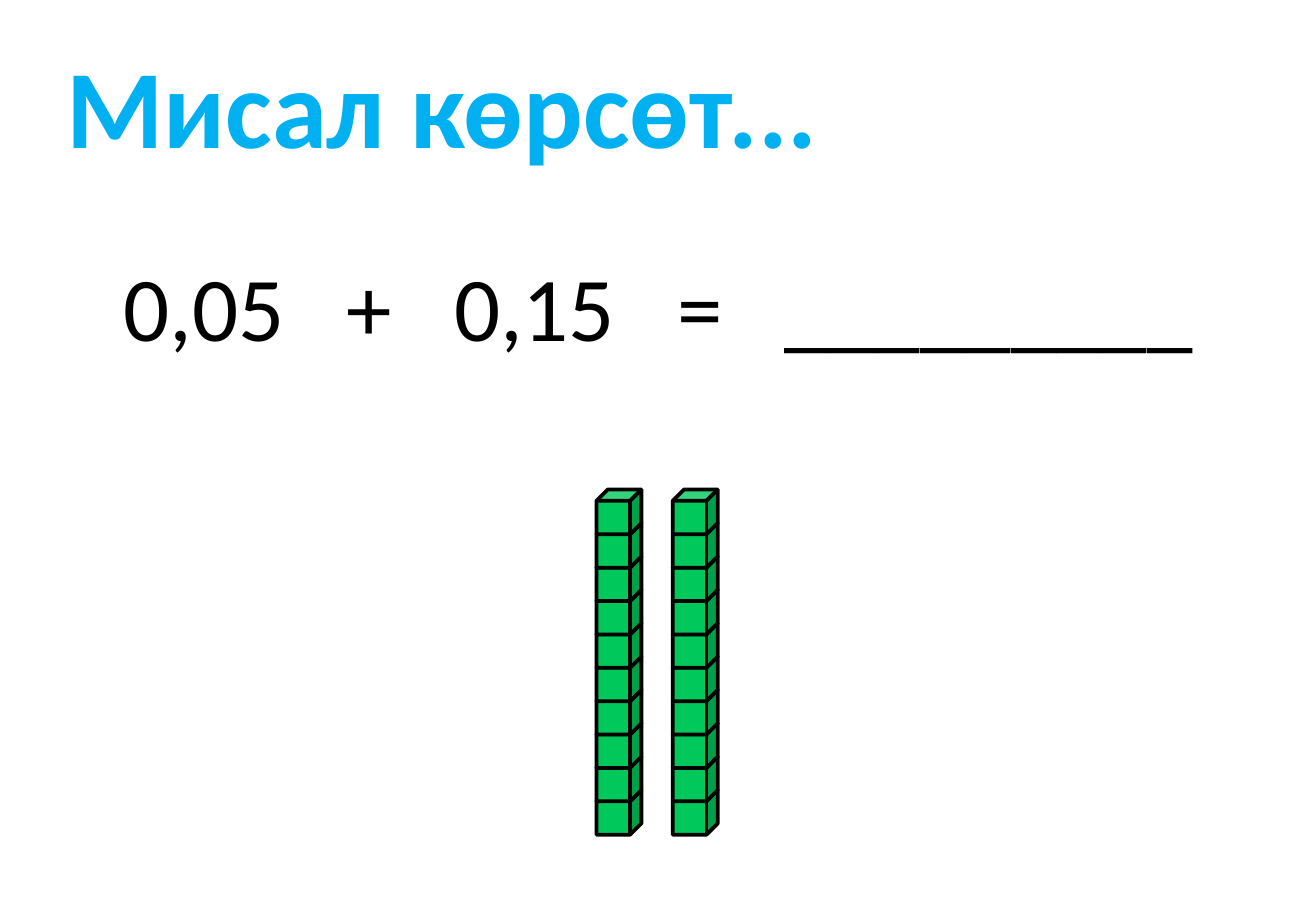
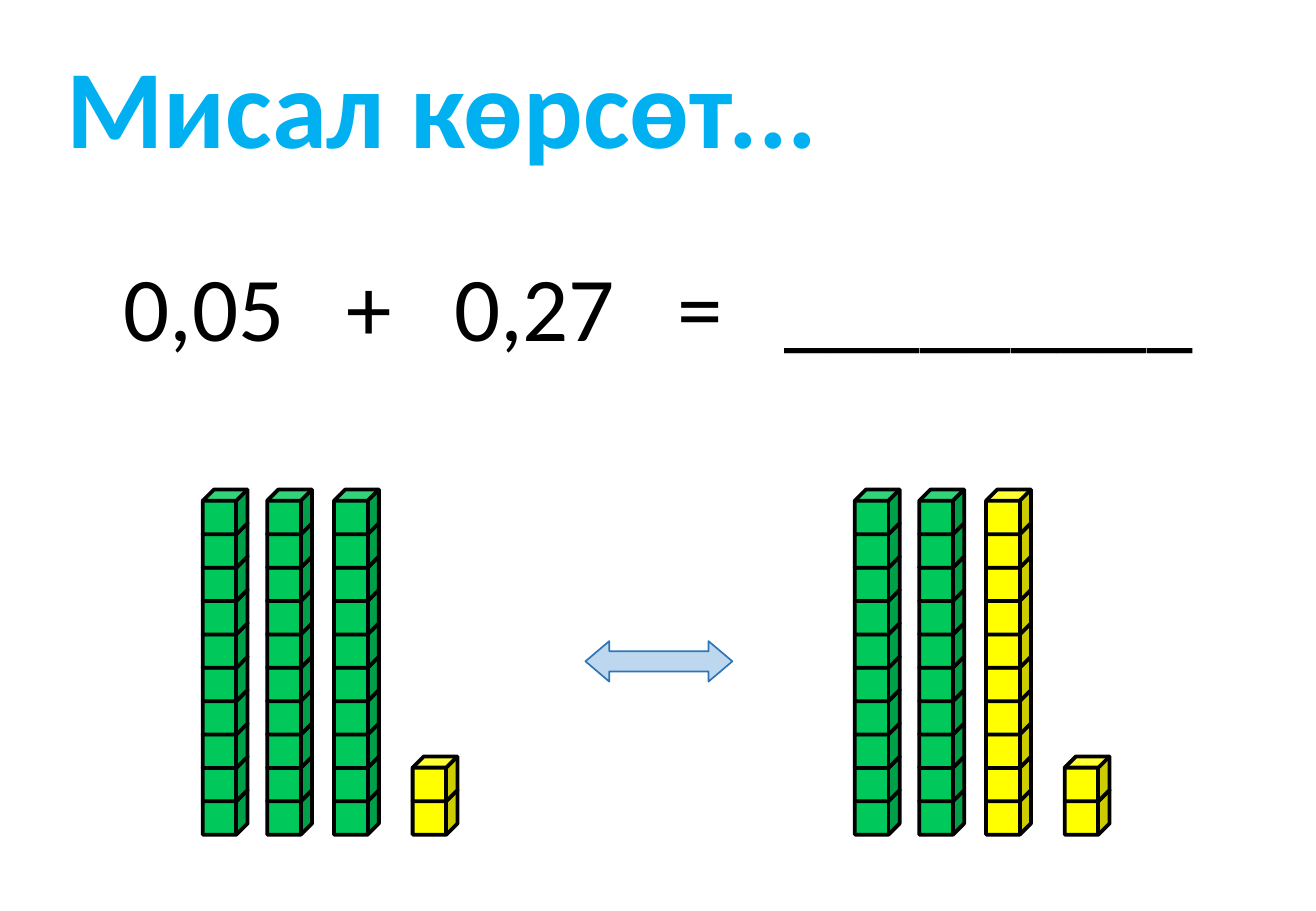
from pptx import Presentation
from pptx.dml.color import RGBColor
from pptx.enum.shapes import MSO_SHAPE
from pptx.oxml.ns import qn
from pptx.util import Pt
from lxml import etree

CUBE = MSO_SHAPE.CUBE
DOUBLE_ARROW = MSO_SHAPE.LEFT_RIGHT_ARROW

FONT = "Calibri"
TITLE_BLUE = "00B0F0"
BLACK = "000000"
GREEN = "00C85A"
YELLOW = "FFFF00"
ARROW_FILL = "BDD7EE"
ARROW_LINE = "2E75B6"

TITLE = "Мисал көрсөт..."
EQUATION_TABS = (132.2, 195.7, 327.9, 391.4)
CUBE_SIZE = 26.6
CUBE_PITCH = 19.78
BOTTOM_CUBE_TOP = 468.2
RIGHT_SET_OFFSET = 386.5

# Each rod: left edge, number of cubes, colour
LEFT_SET = [(120.2, 10, GREEN), (158.4, 10, GREEN), (198, 10, GREEN), (244.6, 2, YELLOW)]
RIGHT_COLOURS = (GREEN, GREEN, YELLOW, YELLOW)
RIGHT_SET = [(left + RIGHT_SET_OFFSET, count, colour)
             for (left, count, _), colour in zip(LEFT_SET, RIGHT_COLOURS)]
SLIDES = [
    (("0,05", "+", "0,15", "=", "_________"), [(353.6, 10, GREEN), (398.8, 10, GREEN)], False),
    (("0,05", "+", "0,27", "=", "_________"), LEFT_SET + RIGHT_SET, True),
]


def add_text(slide, box, text, size, colour, bold=False, tabs=()):
    shape = slide.shapes.add_textbox(*(Pt(length) for length in box))
    shape.text_frame.word_wrap = True
    paragraph = shape.text_frame.paragraphs[0]
    if tabs:
        properties = paragraph._p.get_or_add_pPr()
        tab_list = etree.SubElement(properties, qn("a:tabLst"))
        for position in tabs:
            etree.SubElement(tab_list, qn("a:tab"), pos=str(Pt(position)), algn="l")
    run = paragraph.add_run()
    run.text = text
    run.font.name = FONT
    run.font.size = Pt(size)
    run.font.bold = bold
    run.font.color.rgb = RGBColor.from_string(colour)


def add_preset(shapes, preset, box, fill, line, line_width):
    shape = shapes.add_shape(preset, *(Pt(length) for length in box))
    shape.shadow.inherit = False
    shape.fill.solid()
    shape.fill.fore_color.rgb = RGBColor.from_string(fill)
    shape.line.color.rgb = RGBColor.from_string(line)
    shape.line.width = Pt(line_width)
    return shape


presentation = Presentation()
presentation.slide_width = Pt(780)
presentation.slide_height = Pt(540)
blank_layout = presentation.slide_layouts[6]

for equation, rods, has_arrow in SLIDES:
    slide = presentation.slides.add_slide(blank_layout)

    # Title and equation
    add_text(slide, (32.2, 18.7, 528, 87.1), TITLE, 66, TITLE_BLUE, bold=True)
    add_text(slide, (66.3, 144.7, 655, 72.7), "\t".join(equation), 54, BLACK,
             tabs=EQUATION_TABS)

    # Rods of cubes, stacked from the bottom up
    for left, count, colour in rods:
        rod = slide.shapes.add_group_shape()
        for level in range(count):
            top = BOTTOM_CUBE_TOP - level * CUBE_PITCH
            add_preset(rod.shapes, CUBE, (left, top, CUBE_SIZE, CUBE_SIZE),
                       colour, BLACK, 2.25)

    # Arrow between the two equal sets
    if has_arrow:
        arrow = add_preset(slide.shapes, DOUBLE_ARROW, (347, 380, 87.1, 24),
                           ARROW_FILL, ARROW_LINE, 1)
        arrow.adjustments[0] = 0.5
        arrow.adjustments[1] = 0.59

presentation.save("out.pptx")
